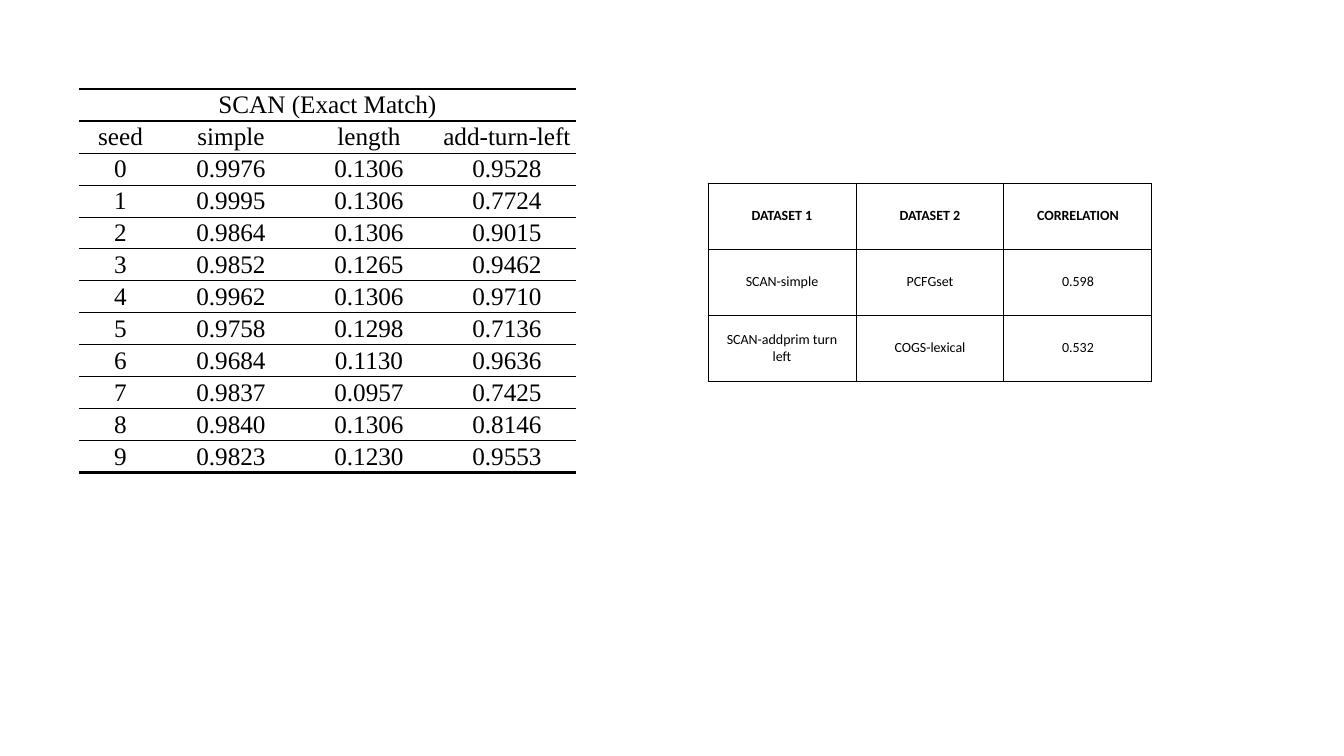
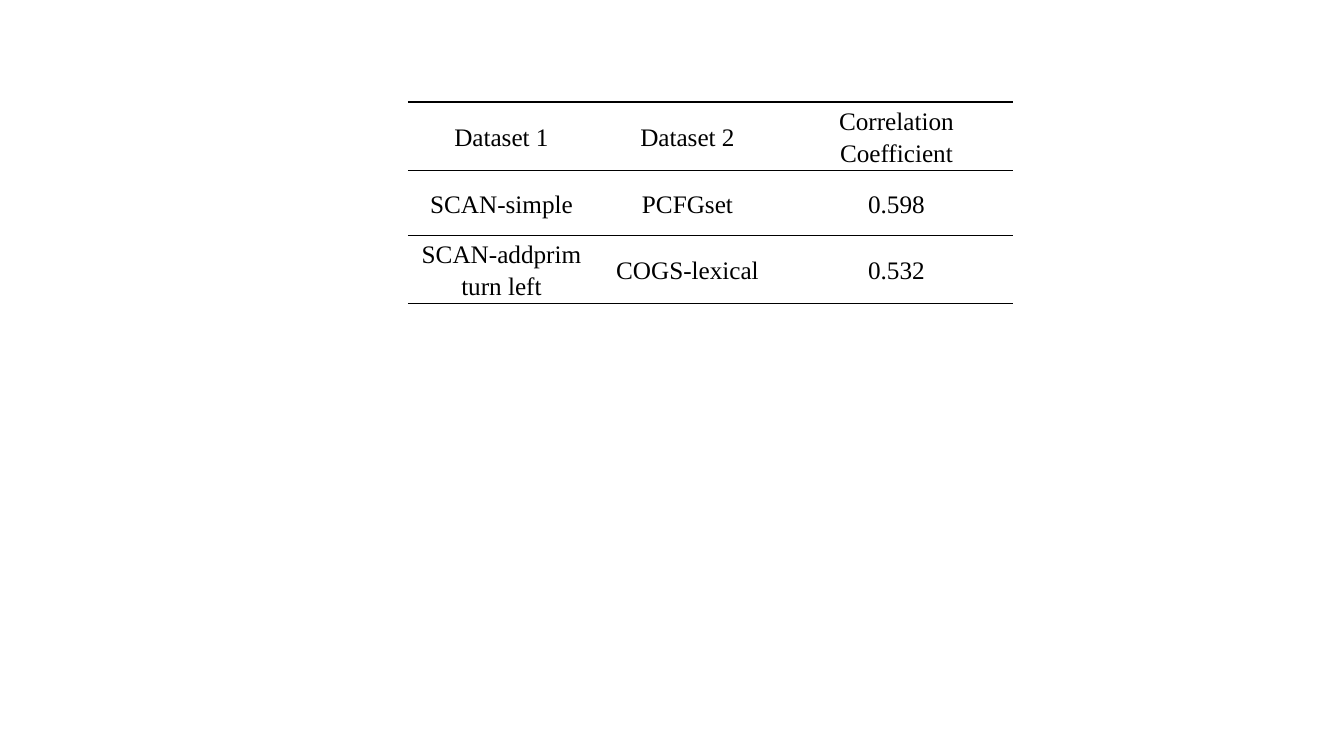
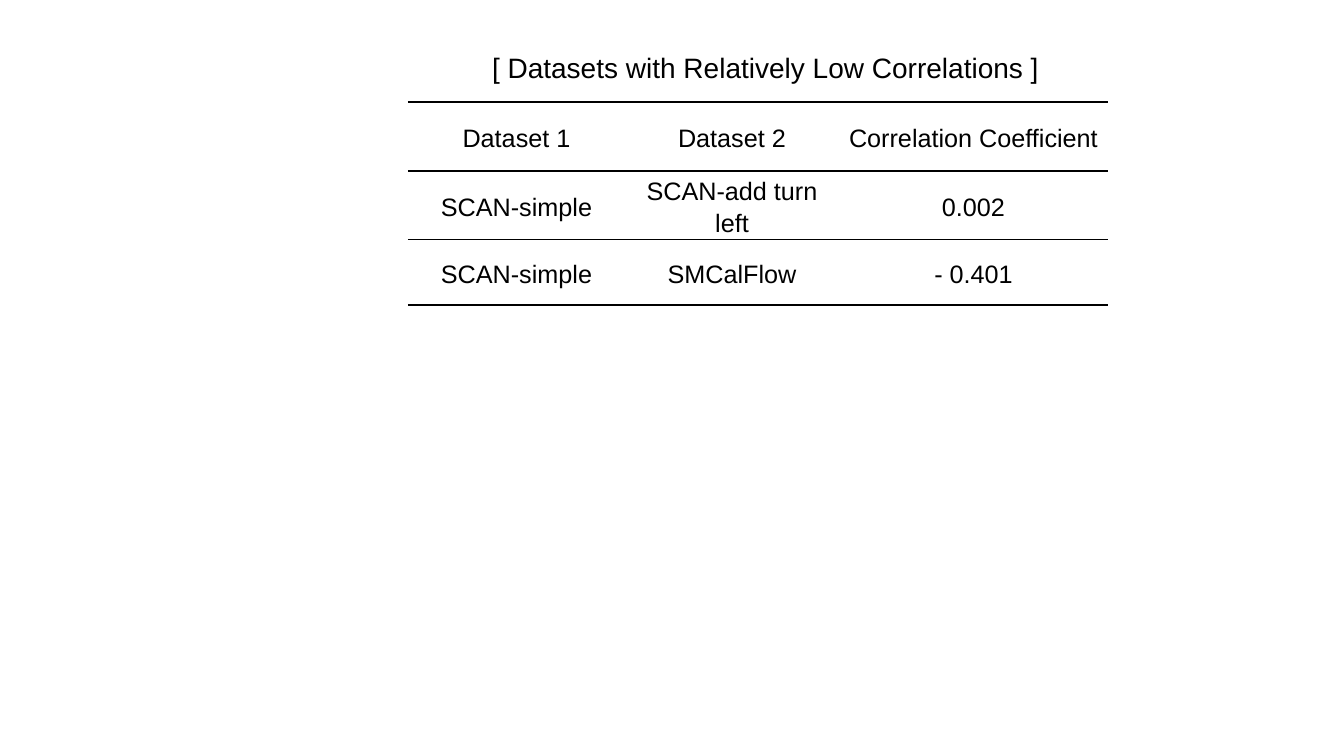
from dataclasses import dataclass

from lxml import etree
from pptx import Presentation
from pptx.dml.color import RGBColor
from pptx.enum.text import MSO_ANCHOR, MSO_AUTO_SIZE, PP_ALIGN
from pptx.oxml.ns import qn
from pptx.util import Emu, Pt

BLACK = RGBColor(0, 0, 0)
LEFT, CENTER = PP_ALIGN.LEFT, PP_ALIGN.CENTER
TOP, MIDDLE, BOTTOM = MSO_ANCHOR.TOP, MSO_ANCHOR.MIDDLE, MSO_ANCHOR.BOTTOM
NO_FIT = MSO_AUTO_SIZE.NONE

SCALE = 914400 / 100.8
THICK, THIN = 2.25, 0.75
TITLE_ONLY, BLANK = 5, 6

SCORES = [
    ("SCAN (Exact Match)", "", "", ""),
    ("seed", "simple", "length", "add-turn-left"),
    ("0", "0.9976", "0.1306", "0.9528"),
    ("1", "0.9995", "0.1306", "0.7724"),
    ("2", "0.9864", "0.1306", "0.9015"),
    ("3", "0.9852", "0.1265", "0.9462"),
    ("4", "0.9962", "0.1306", "0.9710"),
    ("5", "0.9758", "0.1298", "0.7136"),
    ("6", "0.9684", "0.1130", "0.9636"),
    ("7", "0.9837", "0.0957", "0.7425"),
    ("8", "0.9840", "0.1306", "0.8146"),
    ("9", "0.9823", "0.1230", "0.9553"),
]
PAIRS = [
    ("SCAN-simple", "PCFGset", "0.598"),
    ("SCAN-addprim turn left", "COGS-lexical", "0.532"),
]
HEADS = ("Dataset 1", "Dataset 2", "Correlation Coefficient")
LOW_PAIRS = [
    ("SCAN-simple", "SCAN-add turn left", "0.002"),
    ("SCAN-simple", "SMCalFlow", "- 0.401"),
]


@dataclass
class Style:
    """Text and cell settings shared by a whole table."""
    face: str
    size: int = 18
    anchor: int = MIDDLE
    pad: tuple = (3, 2)
    space: float = 1.0
    bold_head: bool = False
    side: float = 0


def px(value):
    """Turn pixels into EMU."""
    return Emu(round(value * SCALE))


def set_pad(item, across, down):
    """Set the inner margins of a cell or text frame."""
    item.margin_left = item.margin_right = px(across)
    item.margin_top = item.margin_bottom = px(down)


def set_font(para, face, size, bold=False):
    """Format a paragraph's font."""
    font = para.font
    font.name, font.size, font.bold = face, Pt(size), bold
    font.color.rgb = BLACK


def add_edge(cell, tag, width):
    """Draw one cell edge, or none when the width is zero."""
    edge = etree.SubElement(cell._tc.get_or_add_tcPr(), qn(tag), w=str(Pt(width)))
    if width:
        fill = etree.SubElement(edge, qn("a:solidFill"))
        etree.SubElement(fill, qn("a:srgbClr"), val=str(BLACK))
    else:
        etree.SubElement(edge, qn("a:noFill"))


def fill_cell(cell, text, style, bold, above, below):
    """Write and format one cell with its rules above and below."""
    cell.text = text
    cell.vertical_anchor = style.anchor
    set_pad(cell, *style.pad)
    para = cell.text_frame.paragraphs[0]
    para.alignment, para.line_spacing = CENTER, style.space
    set_font(para, style.face, style.size, bold)
    widths = (style.side, style.side, above, below)
    for tag, width in zip(("a:lnL", "a:lnR", "a:lnT", "a:lnB"), widths):
        add_edge(cell, tag, width)
    cell.fill.background()


def add_grid(slide, left, top, cols, heights, data, rules, style):
    """Add a table; rules holds the line widths from top to bottom."""
    frame = slide.shapes.add_table(len(data), len(cols), px(left), px(top),
                                   px(sum(cols)), px(sum(heights)))
    table = frame.table
    table.first_row = table.horz_banding = False
    for col, width in zip(table.columns, cols):
        col.width = px(width)
    for i, texts in enumerate(data):
        table.rows[i].height = px(heights[i])
        bold = style.bold_head and i == 0
        for j, text in enumerate(texts):
            fill_cell(table.cell(i, j), text, style, bold, rules[i], rules[i + 1])
    return table


def set_title(slide, text, left, top, width, height):
    """Place and format the slide's title."""
    title = slide.shapes.title
    title.left, title.top = px(left), px(top)
    title.width, title.height = px(width), px(height)
    frame = title.text_frame
    frame.text = text
    frame.word_wrap, frame.auto_size = True, NO_FIT
    frame.vertical_anchor = TOP
    set_pad(frame, 10, 10)
    para = frame.paragraphs[0]
    para.alignment = LEFT
    set_font(para, "Arial", 20)


def add_scores(deck):
    """Build the slide with seed scores and dataset correlations."""
    slide = deck.slides.add_slide(deck.slide_layouts[BLANK])
    count = len(SCORES)
    rules = [THICK, THICK] + [THIN] * (count - 2) + [THICK]
    table = add_grid(slide, 79, 89, [83, 138, 138, 138], [32] * count, SCORES,
                     rules, Style("Times New Roman", anchor=BOTTOM))
    table.cell(0, 0).merge(table.cell(0, 3))
    heads = ("DATASET 1", "DATASET 2", "CORRELATION")
    add_grid(slide, 708, 183, [148] * 3, [66] * 3, [heads] + PAIRS, [THIN] * 4,
             Style("Calibri", 10, pad=(10, 10), bold_head=True, side=THIN))


def add_pairs(deck):
    """Build the slide with the correlated datasets."""
    slide = deck.slides.add_slide(deck.slide_layouts[BLANK])
    add_grid(slide, 408, 102, [187, 185, 233], [67, 65, 67], [HEADS] + PAIRS,
             [THICK, THIN, THIN, THIN], Style("Times New Roman", space=1.15))


def add_low(deck):
    """Build the slide with the weakly correlated datasets."""
    slide = deck.slides.add_slide(deck.slide_layouts[TITLE_ONLY])
    set_title(slide, "[ Datasets with Relatively Low Correlations ]",
              482, 40, 665, 54)
    add_grid(slide, 408, 102, [217, 214, 269], [69, 69, 65], [HEADS] + LOW_PAIRS,
             [THICK, THICK, THIN, THICK], Style("Arial", space=1.15))


def main():
    """Build and save the deck."""
    deck = Presentation()
    deck.slide_width, deck.slide_height = px(1344), px(756)
    add_scores(deck)
    add_pairs(deck)
    add_low(deck)
    deck.save("out.pptx")


main()
